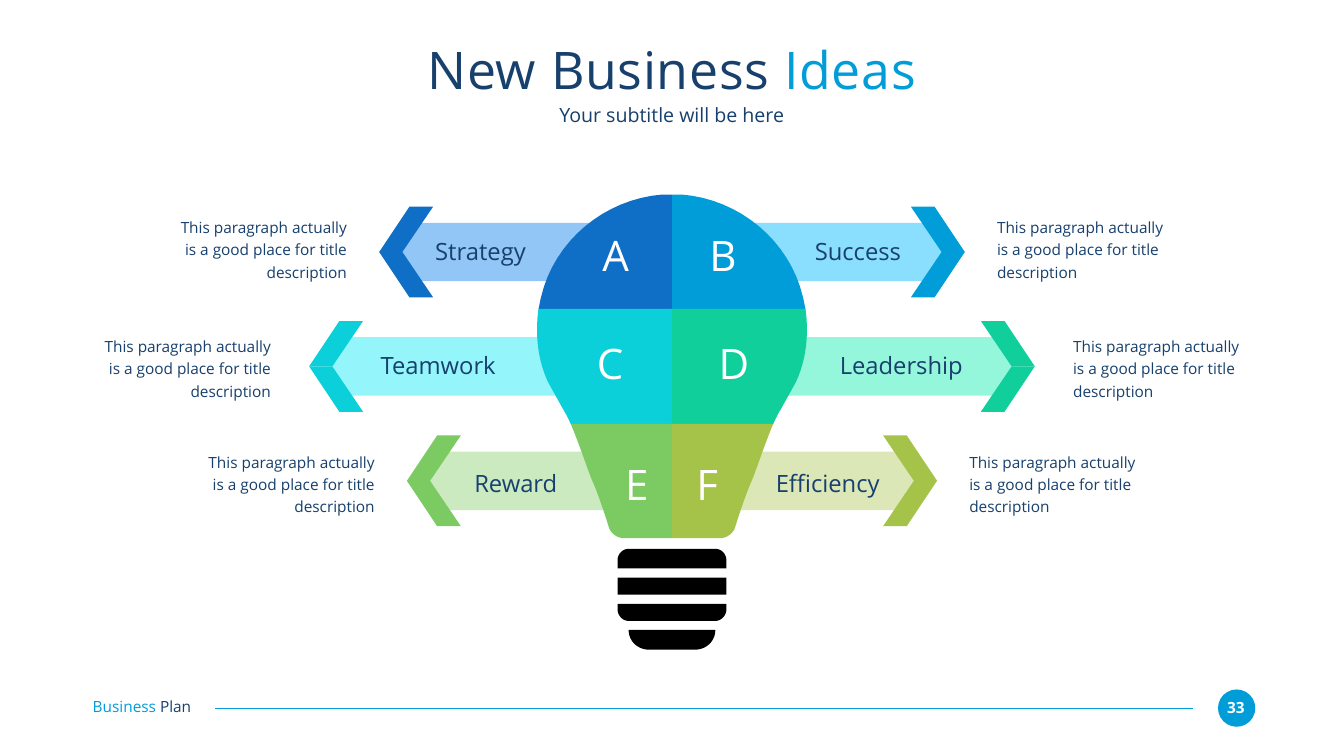
from dataclasses import dataclass
from lxml.etree import SubElement
from pptx import Presentation
from pptx.dml.color import RGBColor
from pptx.enum.shapes import MSO_CONNECTOR as Conn, MSO_SHAPE as Shape
from pptx.enum.text import MSO_ANCHOR as Anchor, MSO_AUTO_SIZE as Fit, PP_ALIGN as Align
from pptx.oxml.ns import qn
from pptx.util import Inches, Pt

NAVY, BLUE, WHITE, BLACK = "17406D", "009DD9", "FFFFFF", "000000"
MID = 13.335  # vertical axis of the bulb
NOTE = "This paragraph actually is a good place for title description"
LEFT, RIGHT = -1, 1


@dataclass
class Row:
    mid: float      # height of the arrow tip
    tip: float      # distances below are measured from the axis
    inner: float
    note: float
    note_top: float
    name_top: float
    name_wide: float
    key_top: float
    half: list      # right half of the bulb: points and Bezier curves


@dataclass
class Arm:
    row: Row
    side: int
    key: str
    key_at: float
    name: str
    name_at: float
    fill: str
    pale: str


TOP = Row(5, 5.81, 0.64, 6.45, 4.26, 4.7, 2.68, 4.55, [
    (0, 6.13), (0, 3.86), (0.19, 3.86),
    (1.34, 3.95, 2.34, 4.78, 2.6, 5.9), (2.62, 5.98, 2.63, 6.06, 2.65, 6.13)])
BODY = Row(7.27, 7.2, 0.64, 7.96, 6.62, 6.95, 3.7, 6.69, [
    (0, 8.41), (0, 6.13), (2.65, 6.13), (2.72, 6.65, 2.66, 7.15, 2.46, 7.58),
    (2.16, 8.12), (2.11, 8.2, 2.06, 8.3, 2.01, 8.41)])
NECK = Row(9.54, 5.26, 0.08, 5.9, 8.91, 9.3, 2.68, 9.09, [
    (0, 10.68), (0, 8.41), (2.01, 8.41), (1.83, 8.83, 1.65, 9.4, 1.56, 9.59),
    (1.48, 9.77, 1.34, 10.18, 1.25, 10.47), (1.21, 10.59, 1.08, 10.68, 0.94, 10.68)])

ARMS = [
    Arm(TOP, LEFT, "A", 1.12, "Strategy", 3.8, "0F6FC6", "91C6F7"),
    Arm(TOP, RIGHT, "B", 1.01, "Success", 3.69, BLUE, "8ADFFF"),
    Arm(BODY, LEFT, "C", 1.23, "Teamwork", 4.64, "0BD0D9", "94F5FA"),
    Arm(BODY, RIGHT, "D", 1.23, "Leadership", 4.55, "10CF9B", "94F7DC"),
    Arm(NECK, LEFT, "E", 0.7, "Reward", 3.1, "7CCA62", "CBEAC0"),
    Arm(NECK, RIGHT, "F", 0.7, "Efficiency", 3.09, "A5C249", "DBE7B6"),
]

SOCKET = [  # right halves of the four screw rings
    [(0, 10.89), (0.86, 10.89), (0.98, 10.89, 1.08, 10.99, 1.08, 11.12), (1.08, 11.28)],
    [(1.08, 11.46), (1.08, 11.8)],
    [(1.08, 11.98), (1.08, 12.09), (1.08, 12.21, 0.98, 12.32, 0.86, 12.32)],
    [(0.86, 12.5), (0.86, 12.72, 0.68, 12.89, 0.46, 12.89)],
]


def color(code: str) -> RGBColor:
    return RGBColor.from_string(code)


def trace(path: list, steps: int = 16) -> list:
    """Turn points and (x1, y1, x2, y2, x, y) curves into plain points."""
    pts = []
    for part in path:
        if len(part) == 2:
            pts.append(part)
            continue
        ctrl = [pts[-1], part[:2], part[2:4], part[4:]]
        for i in range(1, steps + 1):
            t = i / steps
            mix = ((1 - t) ** 3, 3 * t * (1 - t) ** 2, 3 * t * t * (1 - t), t ** 3)
            pts.append(tuple(sum(m * c[k] for m, c in zip(mix, ctrl)) for k in (0, 1)))
    return pts


def paint(shape, fill: str) -> None:
    shape.shadow.inherit = False
    shape.fill.solid()
    shape.fill.fore_color.rgb = color(fill)
    shape.line.fill.background()


def outline(slide, loops: list, fill: str, side: int = RIGHT) -> None:
    """Draw closed loops whose x is the distance from the axis."""
    pens = [[(Inches(MID + side * x), Inches(y)) for x, y in loop] for loop in loops]
    pen = slide.shapes.build_freeform(*pens[0][0])
    for i, loop in enumerate(pens):
        if i:
            pen.move_to(*loop[0])
        pen.add_line_segments(loop[1:], close=True)
    paint(pen.convert_to_shape(), fill)


def write(frame, runs: list, size: float, align=Align.LEFT, anchor=Anchor.TOP,
          space: float = 1, bold: bool = False, fit=Fit.SHAPE_TO_FIT_TEXT) -> None:
    look = dict(word_wrap=True, auto_size=fit, vertical_anchor=anchor, margin_left=0,
                margin_right=0, margin_top=0, margin_bottom=0)
    for key, value in look.items():
        setattr(frame, key, value)
    para = frame.paragraphs[0]
    para.alignment, para.line_spacing = align, space
    for text, tint in runs:
        run = para.add_run()
        run.text = text
        for key, value in dict(name="Open Sans", size=Pt(size), bold=bold).items():
            setattr(run.font, key, value)
        run.font.color.rgb = color(tint)


def label(slide, box: tuple, runs: list, size: float, **style) -> None:
    area = slide.shapes.add_textbox(*map(Inches, box))
    write(area.text_frame, runs, size, **style)


def band(slide, arm: Arm) -> None:
    row, end = arm.row, arm.row.tip - 0.4
    high, low = row.mid - 0.58, row.mid + 0.58
    outline(slide, [[(end - 0.35, low), (row.inner, low), (row.inner, high),
                     (end - 0.35, high), (end, row.mid)]], arm.pale, arm.side)


def arrow(slide, arm: Arm) -> None:
    tip, mid = arm.row.tip, arm.row.mid
    for way in (-1, 1):
        edge = mid + way * 0.9
        outline(slide, [[(tip, mid), (tip - 0.46, mid), (tip - 1.07, edge),
                         (tip - 0.6, edge)]], arm.fill, arm.side)


def texts(slide, arm: Arm) -> None:
    row, side = arm.row, arm.side
    left = MID + side * row.note - (3.54 if side == LEFT else 0)
    label(slide, (left, row.note_top, 3.54, 1.33), [(NOTE, NAVY)], 22, space=1.2,
          align=Align.RIGHT if side == LEFT else Align.LEFT)
    for text, at, top, wide, tall, size, tint in (
            (arm.key, arm.key_at, row.key_top, 1.07, 1.01, 60, WHITE),
            (arm.name, arm.name_at, row.name_top, row.name_wide, 0.57, 34, NAVY)):
        label(slide, (MID + side * at - wide / 2, top, wide, tall), [(text, tint)],
              size, align=Align.CENTER)


def footer(slide) -> None:
    disc = slide.shapes.add_shape(Shape.OVAL, *map(Inches, (24.17, 13.68, 0.74, 0.74)))
    paint(disc, BLUE)
    label(slide, (24.23, 13.85, 0.59, 0.37), [("33", WHITE)], 22,
          align=Align.CENTER, bold=True)
    rule = slide.shapes.add_connector(Conn.STRAIGHT, *map(Inches, (23.67, 14.05, 4.27, 14.05)))
    rule.line.color.rgb = color(BLUE)
    rule.line.width = Pt(1.5)
    SubElement(rule._element.spPr, qn("a:effectLst"))
    label(slide, (1.84, 13.84, 2.59, 0.37), [("Business ", BLUE), ("Plan", NAVY)], 22)


def heading(slide) -> None:
    title = slide.shapes.title
    spot = dict(left=1.83, top=0.73, width=23, height=1.27)
    for key, value in spot.items():
        setattr(title, key, Inches(value))
    write(title.text_frame, [("New Business ", NAVY), ("Ideas", BLUE)], 74,
          align=Align.CENTER, anchor=Anchor.MIDDLE, fit=Fit.NONE)
    for run in title.text_frame.paragraphs[0].runs:
        run.font._element.set("spc", "100")
    label(slide, (1.83, 2.03, 23, 0.49), [("Your subtitle will be here", NAVY)], 28,
          align=Align.CENTER, anchor=Anchor.MIDDLE, fit=Fit.NONE)


def main() -> None:
    deck = Presentation()
    deck.slide_width, deck.slide_height = Inches(26.67), Inches(15)
    slide = deck.slides.add_slide(deck.slide_layouts[5])
    footer(slide)
    heading(slide)
    for arm in ARMS:
        band(slide, arm)
        arrow(slide, arm)
    for arm in ARMS:
        outline(slide, [trace(arm.row.half)], arm.fill, arm.side)
        texts(slide, arm)
    rings = [trace(half) for half in SOCKET]
    outline(slide, [ring + [(-x, y) for x, y in reversed(ring)] for ring in rings], BLACK)
    deck.save("out.pptx")


if __name__ == "__main__":
    main()
